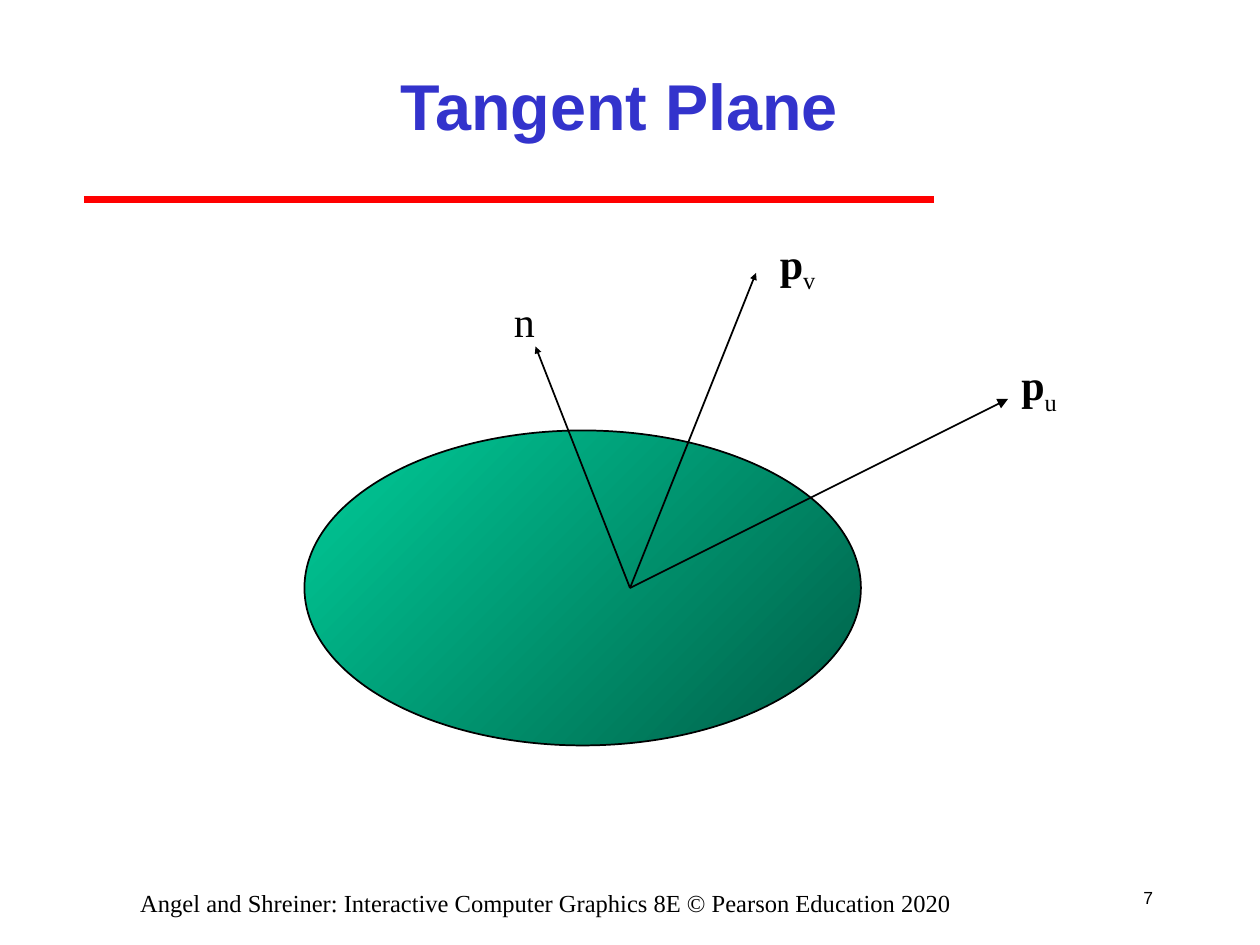
from lxml.etree import SubElement
from pptx import Presentation
from pptx.dml.color import RGBColor
from pptx.enum.shapes import MSO_CONNECTOR, MSO_SHAPE
from pptx.enum.text import MSO_ANCHOR, MSO_AUTO_SIZE, PP_ALIGN
from pptx.oxml.ns import qn
from pptx.util import Pt

COLORS = {
    "title": "3333CC",
    "rule": "FF0000",
    "ink": "000000",
    "surface_light": "00CC99",
    "surface_dark": "005E47",
}
SERIF, SANS = "Times New Roman", "Arial"

TITLE = "Tangent Plane"
TITLE_BOX = (108, 18, 492, 84)
RULE = ((48, 114), (534, 114))
SURFACE_BOX = (174, 246, 318, 180)
POINT = (360, 336)
VECTORS = [
    {"tip": (576, 228), "head": "med", "label": "p", "sub": "u", "box": (576.5, 201.5, 34.5, 40)},
    {"tip": (432, 156), "head": "sm", "label": "p", "sub": "v", "box": (438.5, 132, 34.5, 40)},
    {"tip": (306, 198), "head": "sm", "label": "n", "sub": "", "box": (286.5, 165.5, 26, 36)},
]
FOOTER = "Angel and Shreiner: Interactive Computer Graphics 8E © Pearson Education 2020"
FOOTER_BOX = (36, 504, 552, 18)
PAGE = "7"
PAGE_BOX = (636, 498, 30, 30)


def color(name):
    return RGBColor.from_string(COLORS[name])


def points(values):
    return [Pt(value) for value in values]


def style(font, face, size, ink="ink", bold=False):
    font.name, font.size, font.bold = face, Pt(size), bold
    font.color.rgb = color(ink)


def add_line(slide, start, end, ink, width, head=None):
    line = slide.shapes.add_connector(MSO_CONNECTOR.STRAIGHT, *points(start + end))
    line.line.color.rgb = color(ink)
    line.line.width = Pt(width)
    properties = line._element.spPr
    if head:
        SubElement(properties.find(qn("a:ln")), qn("a:tailEnd"), type="triangle", w=head, len=head)
    SubElement(properties, qn("a:effectLst"))


def add_text(slide, box, text, face, size, align=PP_ALIGN.LEFT, wrap=False):
    frame = slide.shapes.add_textbox(*points(box)).text_frame
    frame.word_wrap = wrap
    frame.text = text
    paragraph = frame.paragraphs[0]
    paragraph.alignment = align
    style(paragraph.runs[0].font, face, size)
    return frame


def add_title(slide):
    title = slide.shapes.title
    title.left, title.top, title.width, title.height = points(TITLE_BOX)
    frame = title.text_frame
    frame.text = TITLE
    frame.vertical_anchor = MSO_ANCHOR.MIDDLE
    frame.paragraphs[0].alignment = PP_ALIGN.CENTER
    style(frame.paragraphs[0].runs[0].font, SANS, 37, "title", True)


def add_surface(slide):
    surface = slide.shapes.add_shape(MSO_SHAPE.OVAL, *points(SURFACE_BOX))
    surface.shadow.inherit = False
    surface.fill.gradient()
    surface.fill.gradient_angle = 315
    for stop, position, name in zip(
        surface.fill.gradient_stops, (0, 1), ("surface_light", "surface_dark")
    ):
        stop.position = position
        stop.color.rgb = color(name)
    surface.line.color.rgb = color("ink")
    surface.line.width = Pt(1)


def add_label(slide, vector):
    frame = add_text(slide, vector["box"], vector["label"], SERIF, 24)
    frame.auto_size = MSO_AUTO_SIZE.SHAPE_TO_FIT_TEXT
    if vector["sub"]:
        paragraph = frame.paragraphs[0]
        paragraph.runs[0].font.bold = True
        subscript = paragraph.add_run()
        subscript.text = vector["sub"]
        style(subscript.font, SERIF, 24)
        subscript._r.get_or_add_rPr().set("baseline", "-25000")


def main():
    deck = Presentation()
    deck.slide_width, deck.slide_height = Pt(720), Pt(540)
    slide = deck.slides.add_slide(deck.slide_layouts[5])
    add_line(slide, *RULE, "rule", 4)
    page = add_text(slide, PAGE_BOX, PAGE, SANS, 10, PP_ALIGN.RIGHT)
    page.vertical_anchor = MSO_ANCHOR.MIDDLE
    add_title(slide)
    add_surface(slide)
    for vector in VECTORS:
        add_line(slide, POINT, vector["tip"], "ink", 1, vector["head"])
    for vector in VECTORS:
        add_label(slide, vector)
    add_text(slide, FOOTER_BOX, FOOTER, SERIF, 14, PP_ALIGN.CENTER, True)
    deck.save("out.pptx")


if __name__ == "__main__":
    main()
